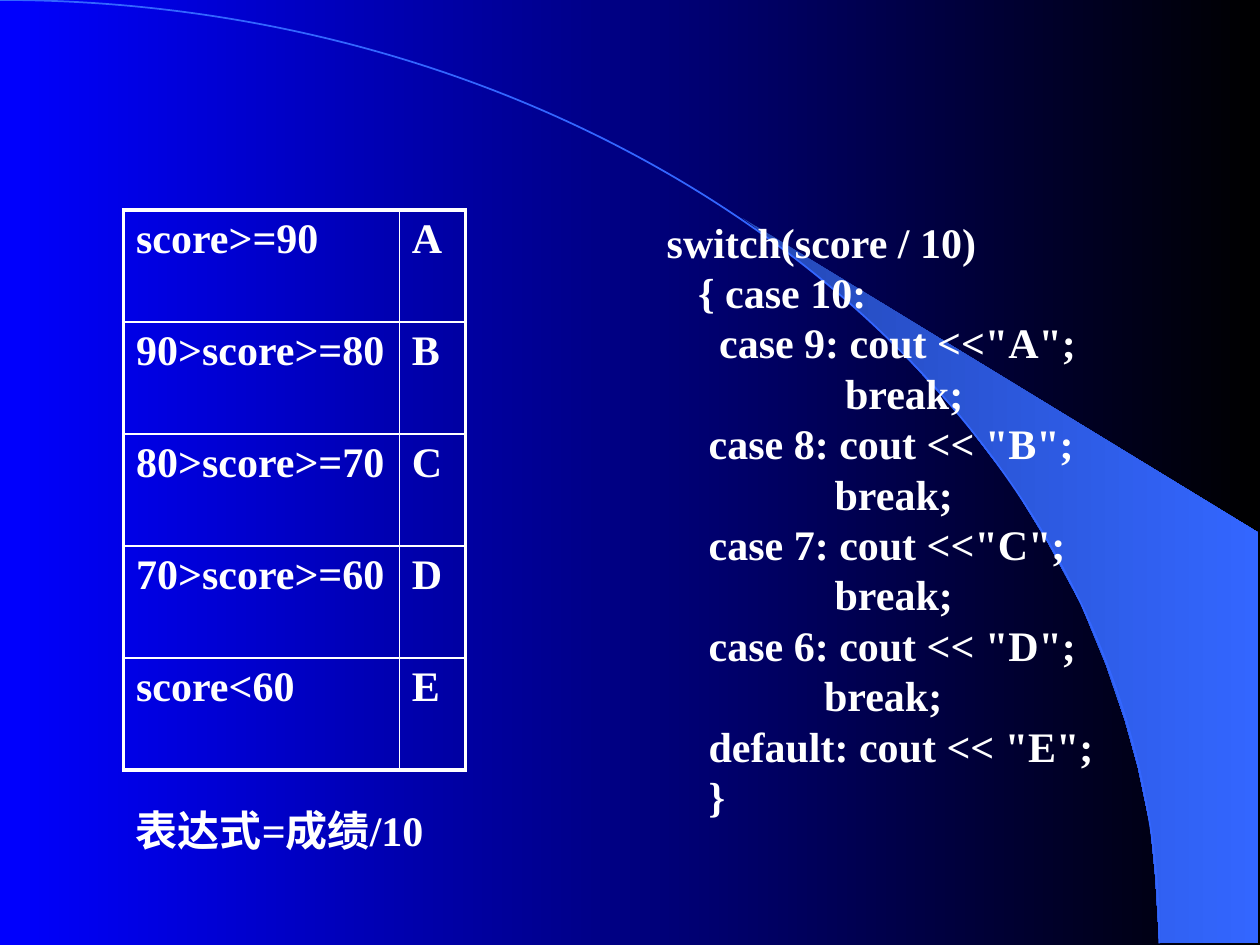
from lxml import etree
from pptx import Presentation
from pptx.dml.color import RGBColor
from pptx.enum.text import MSO_AUTO_SIZE, PP_ALIGN
from pptx.oxml.ns import qn
from pptx.util import Cm, Pt

JUSTIFY, LEFT = PP_ALIGN.JUSTIFY, PP_ALIGN.LEFT
GROW = MSO_AUTO_SIZE.SHAPE_TO_FIT_TEXT
WHITE, ARC_BLUE = "FFFFFF", "3366FF"
FONT_FORMAT = {"name": "Times New Roman", "size": Pt(24), "bold": True}


def color(hex_value):
    return RGBColor.from_string(hex_value)


def write(paragraph, text):
    run = paragraph.add_run()
    run.text = text
    for name, value in FONT_FORMAT.items():
        setattr(run.font, name, value)
    run.font.color.rgb = color(WHITE)


presentation = Presentation()
presentation.slide_width, presentation.slide_height = Cm(25.4), Cm(19.05)
slide = presentation.slides.add_slide(presentation.slide_layouts[6])

# Wedge and arc outlines
ARC_WIDTH, ARC_HEIGHT = 23.37, 19.02
wedge_points = [
    (23.37, 19), (25.37, 19.02), (25.37, 10.74), (14.96, 4.39),
    (15.85, 5.05), (16.59, 5.64), (17.4, 6.35), (18.19, 7.11),
    (19.35, 8.38), (20.4, 9.75), (21.13, 10.95), (21.79, 12.17),
    (22.3, 13.41), (22.68, 14.53), (22.94, 15.47), (23.19, 16.66),
    (23.29, 17.68),
]
arc_points = [(0, 0), (ARC_WIDTH, ARC_HEIGHT)]
outlines = []
for points, closed in ((wedge_points, True), (arc_points, False)):
    corners = [(Cm(x), Cm(y)) for x, y in points]
    builder = slide.shapes.build_freeform(*corners[0])
    builder.add_line_segments(corners[1:], close=closed)
    shape = builder.convert_to_shape()
    shape.shadow.inherit = False
    outlines.append(shape)
wedge, arc = outlines
wedge.line.fill.background()
arc.fill.background()
arc.line.color.rgb = color(ARC_BLUE)
arc.line.width = Pt(1)

# Bend the arc into a quarter ellipse
segment = arc._element.find(".//" + qn("a:lnTo"))
curve = etree.Element(qn("a:cubicBezTo"))
for x, y in ((0.55, 0), (1, 0.45), (1, 1)):
    etree.SubElement(curve, qn("a:pt"), x=str(Cm(x * ARC_WIDTH)), y=str(Cm(y * ARC_HEIGHT)))
segment.getparent().replace(segment, curve)

# Gradients of the background and the wedge
for fill, stops in (
    (slide.background.fill, ("0000FF", "000000")),
    (wedge.fill, (ARC_BLUE, ARC_BLUE)),
):
    fill.gradient()
    fill.gradient_angle = 0
    for position, (stop, hex_value) in enumerate(zip(fill.gradient_stops, stops)):
        stop.position = position
        stop.color.rgb = color(hex_value)

# Darken the first stop of the wedge
first_stop = wedge._element.spPr.find(".//" + qn("a:srgbClr"))
etree.SubElement(first_stop, qn("a:shade"), val="46000")

# Grade table
grades = [
    ("score>=90", "A"),
    ("90>score>=80", "B"),
    ("80>score>=70", "C"),
    ("70>score>=60", "D"),
    ("score<60", "E"),
]
row_count, column_count = len(grades), 2
table = slide.shapes.add_table(
    row_count, column_count, Cm(2.49), Cm(4.23), Cm(6.9), Cm(11.3)).table
table.first_row = table.horz_banding = False
for column, width in zip(table.columns, (5.56, 1.34)):
    column.width = Cm(width)
for row_index, grade in enumerate(grades):
    table.rows[row_index].height = Cm(2.26)
    for column_index, text in enumerate(grade):
        cell = table.cell(row_index, column_index)
        write(cell.text_frame.paragraphs[0], text)
        cell.fill.background()
        # Thick borders on the outside, thin ones inside
        outer_edges = {
            "lnL": column_index == 0,
            "lnR": column_index == column_count - 1,
            "lnT": row_index == 0,
            "lnB": row_index == row_count - 1,
        }
        properties = cell._tc.get_or_add_tcPr()
        for order, (tag, is_outer) in enumerate(outer_edges.items()):
            border = etree.Element(qn("a:" + tag), w=str(Pt(2.25 if is_outer else 1)))
            solid = etree.SubElement(border, qn("a:solidFill"))
            etree.SubElement(solid, qn("a:srgbClr"), val=WHITE)
            properties.insert(order, border)

# Caption and code: each line has an indent in characters, a text and an alignment
caption = [(0, "表达式=成绩/10", LEFT)]
code = [
    (0, "switch(score / 10)", JUSTIFY),
    (3, "{ case 10:", JUSTIFY),
    (5, 'case 9: cout <<"A";', JUSTIFY),
    (17, "break;", JUSTIFY),
    (4, 'case 8: cout << "B";', JUSTIFY),
    (16, "break;", JUSTIFY),
    (4, 'case 7: cout <<"C";', JUSTIFY),
    (16, "break;", JUSTIFY),
    (4, 'case 6: cout << "D";', JUSTIFY),
    (15, "break;", JUSTIFY),
    (4, 'default: cout << "E";', JUSTIFY),
    (4, "}", LEFT),
]
for lines, box in (
    (caption, (2.49, 16.09, 6.55, 1.27)),
    (code, (13.19, 4.23, 10.11, 12.42)),
):
    frame = slide.shapes.add_textbox(*map(Cm, box)).text_frame
    frame.word_wrap = True
    frame.auto_size = GROW
    for index, (indent, text, alignment) in enumerate(lines):
        paragraph = frame.add_paragraph() if index else frame.paragraphs[0]
        paragraph.alignment = alignment
        paragraph._p.get_or_add_pPr().set("marL", str(Pt(6 * indent)))
        write(paragraph, text)

presentation.save("out.pptx")
